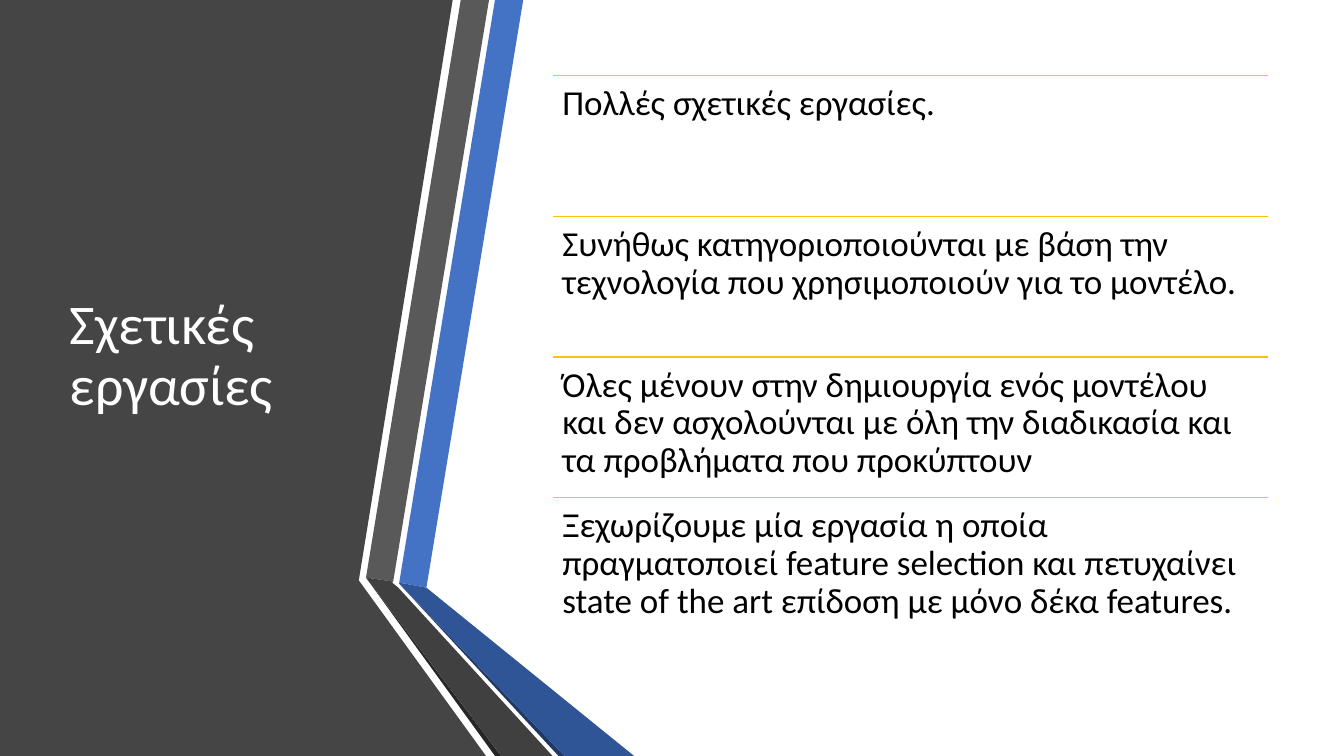
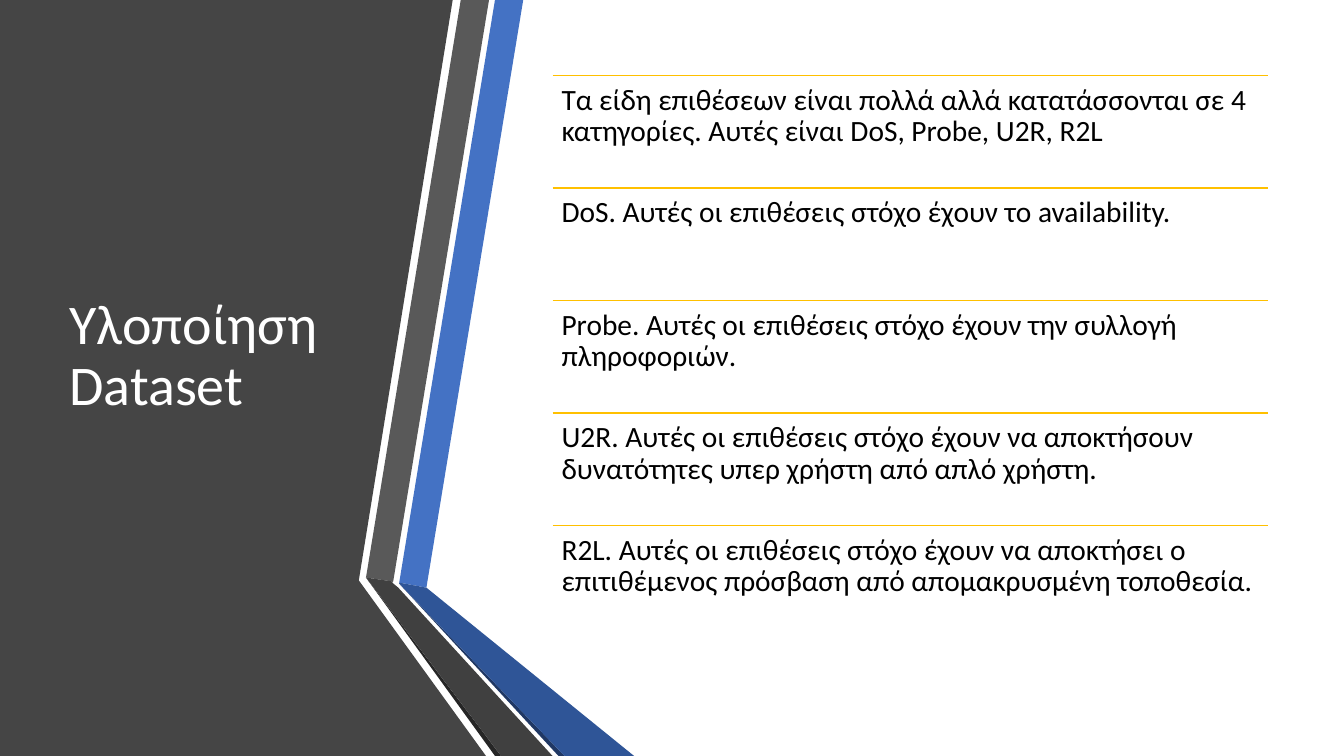
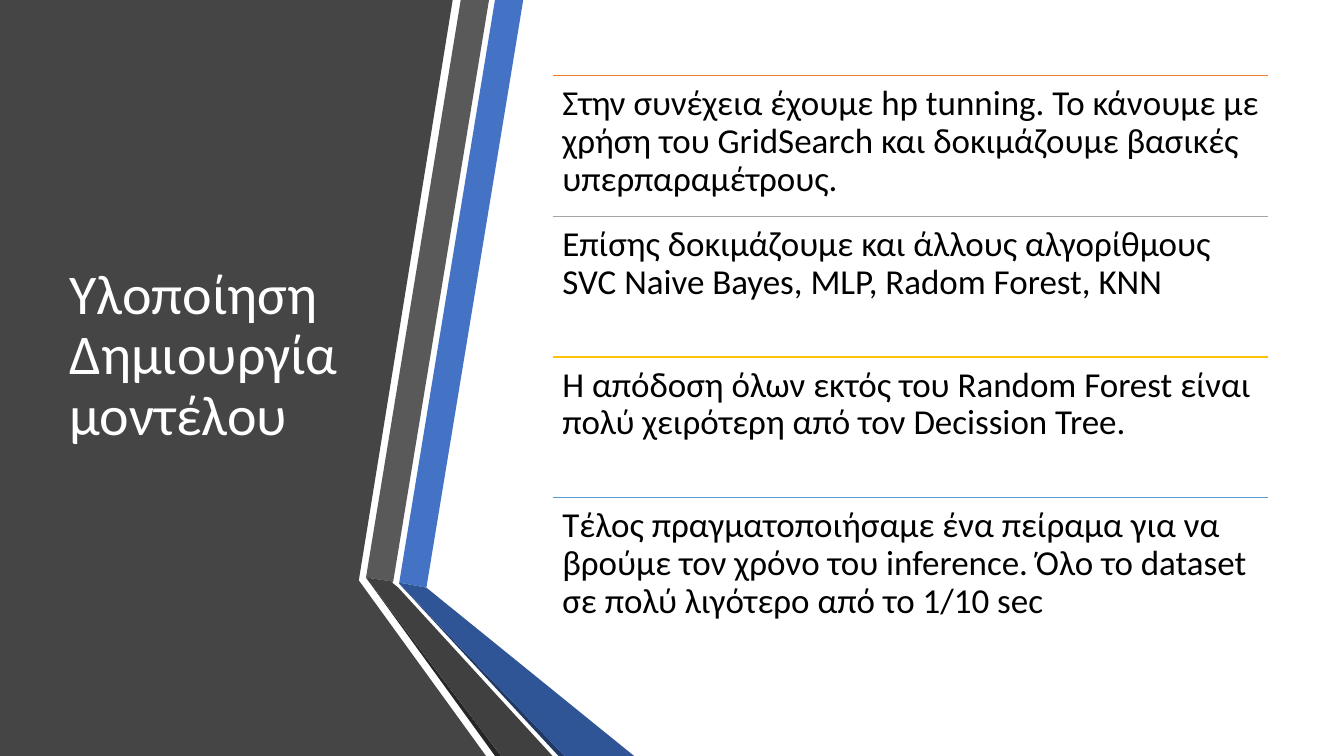
"""Three slides with a folded-ribbon title panel and a ruled list."""
from dataclasses import dataclass

from lxml import etree
from pptx import Presentation
from pptx.dml.color import RGBColor
from pptx.enum.shapes import MSO_CONNECTOR
from pptx.enum.text import MSO_ANCHOR, MSO_AUTO_SIZE, PP_ALIGN
from pptx.oxml.ns import qn
from pptx.util import Inches, Pt

STRAIGHT = MSO_CONNECTOR.STRAIGHT
MIDDLE, TOP = MSO_ANCHOR.MIDDLE, MSO_ANCHOR.TOP
LEFT = PP_ALIGN.LEFT
NO_AUTOFIT = MSO_AUTO_SIZE.NONE
TITLE_ONLY = 5


@dataclass(frozen=True)
class Theme:
    """Colours, type and measures shared by the slides."""
    font: str = "Calibri"
    title_size: float = 40
    large_size: float = 25
    small_size: float = 21
    line_spacing: float = 0.9
    rule_width: float = 1
    title_color: str = "FFFFFF"
    text_color: str = "000000"
    panel: str = "454545"
    blue: str = "4472C4"
    blue_fold: str = "2F5597"
    blue_edge: str = "203864"
    gray: str = "595959"
    gray_fold: str = "404040"
    gray_edge: str = "262626"
    orange: str = "ED7D31"
    silver: str = "A5A5A5"
    gold: str = "FFC000"
    sky: str = "5B9BD5"
    title_left: float = 0.59
    title_width: float = 3.04
    list_left: float = 5.48
    list_width: float = 7.1
    content_top: float = 0.75
    content_height: float = 5.58


THEME = Theme()

RIBBONS = [
    (THEME.panel, [(0, 0), (4.49, 0), (3.56, 5.75), (3.56, 5.76), (4.82, 7.5), (0, 7.5)]),
    (THEME.blue, [(3.96, 5.78), (4.23, 5.83), (5.19, 0), (4.91, 0)]),
    (THEME.gray, [(4.85, 0), (4.57, 0), (3.63, 5.73), (3.9, 5.77)]),
    (THEME.gray_edge, [(3.63, 5.73), (4.91, 7.5), (4.97, 7.5)]),
    (THEME.blue_edge, [(3.96, 5.79), (5.54, 7.5), (5.6, 7.5)]),
    (THEME.blue_fold, [(3.96, 5.79), (5.6, 7.5), (6.29, 7.5), (4.23, 5.83), (3.96, 5.78)]),
    (THEME.gray_fold, [(5.48, 7.5), (3.95, 5.83), (3.89, 5.78), (3.9, 5.77),
                       (3.63, 5.73), (4.97, 7.5)]),
]

SLIDES = [
    ("Σχετικές εργασίες", THEME.large_size, 0.1, [
        (THEME.gold, "Πολλές σχετικές εργασίες."),
        (THEME.gold, "Συνήθως κατηγοριοποιούνται με βάση την τεχνολογία που "
                     "χρησιμοποιούν για το μοντέλο."),
        (THEME.gold, "Όλες μένουν στην δημιουργία ενός μοντέλου και δεν ασχολούνται "
                     "με όλη την διαδικασία και τα προβλήματα που προκύπτουν"),
        (THEME.gold, "Ξεχωρίζουμε μία εργασία η οποία πραγματοποιεί feature selection "
                     "και πετυχαίνει state of the art επίδοση με μόνο δέκα features."),
    ]),
    ("Υλοποίηση Dataset", THEME.small_size, 0.09, [
        (THEME.gold, "Τα είδη επιθέσεων είναι πολλά αλλά κατατάσσονται σε 4 "
                     "κατηγορίες. Αυτές είναι DoS, Probe, U2R, R2L"),
        (THEME.gold, "DoS. Αυτές οι επιθέσεις στόχο έχουν το availability."),
        (THEME.gold, "Probe. Αυτές οι επιθέσεις στόχο έχουν την συλλογή πληροφοριών."),
        (THEME.gold, "U2R. Αυτές οι επιθέσεις στόχο έχουν να αποκτήσουν δυνατότητες "
                     "υπερ χρήστη από απλό χρήστη."),
        (THEME.gold, "R2L. Αυτές οι επιθέσεις στόχο έχουν να αποκτήσει ο επιτιθέμενος "
                     "πρόσβαση από απομακρυσμένη τοποθεσία."),
    ]),
    ("Υλοποίηση Δημιουργία μοντέλου", THEME.large_size, 0.1, [
        (THEME.orange, "Στην συνέχεια έχουμε hp tunning. Το κάνουμε με χρήση του "
                       "GridSearch και δοκιμάζουμε βασικές υπερπαραμέτρους."),
        (THEME.silver, "Επίσης δοκιμάζουμε και άλλους αλγορίθμους SVC Naive Bayes, "
                       "MLP, Radom Forest, KNN"),
        (THEME.gold, "Η απόδοση όλων εκτός του Random Forest είναι πολύ χειρότερη "
                     "από τον Decission Tree."),
        (THEME.sky, "Τέλος πραγματοποιήσαμε ένα πείραμα για να βρούμε τον χρόνο του "
                    "inference. Όλο το dataset σε πολύ λιγότερο από το 1/10 sec"),
    ]),
]


def write_text(frame, text, size, color, anchor, inset):
    """Fill a text frame with one formatted run."""
    frame.word_wrap = True
    frame.auto_size = NO_AUTOFIT
    frame.vertical_anchor = anchor
    frame.margin_left = frame.margin_right = Inches(inset)
    frame.margin_top = frame.margin_bottom = Inches(inset)
    paragraph = frame.paragraphs[0]
    paragraph.alignment = LEFT
    paragraph.line_spacing = THEME.line_spacing
    run = paragraph.add_run()
    run.text = text
    run.font.name = THEME.font
    run.font.size = Pt(size)
    run.font.color.rgb = RGBColor.from_string(color)


def add_ribbon(slide, color, points):
    """Draw one filled outline of the title panel."""
    corners = [(Inches(x), Inches(y)) for x, y in points]
    builder = slide.shapes.build_freeform(*corners[0])
    builder.add_line_segments(corners[1:], close=True)
    ribbon = builder.convert_to_shape()
    ribbon.shadow.inherit = False
    ribbon.fill.solid()
    ribbon.fill.fore_color.rgb = RGBColor.from_string(color)
    ribbon.line.fill.background()


def place_title(slide, text):
    """Format the title placeholder and bring it in front of the panel."""
    title = slide.shapes.title
    title.left, title.top = Inches(THEME.title_left), Inches(THEME.content_top)
    title.width, title.height = Inches(THEME.title_width), Inches(THEME.content_height)
    write_text(title.text_frame, text, THEME.title_size, THEME.title_color, MIDDLE, 0.1)
    slide.shapes._spTree.append(title._element)


def add_rule(slide, top, color):
    """Draw the thin line above a list entry."""
    left, right = Inches(THEME.list_left), Inches(THEME.list_left + THEME.list_width)
    rule = slide.shapes.add_connector(STRAIGHT, left, Inches(top), right, Inches(top))
    rule.line.color.rgb = RGBColor.from_string(color)
    rule.line.width = Pt(THEME.rule_width)
    etree.SubElement(rule._element.spPr, qn("a:effectLst"))


def add_ruled_list(slide, entries, size, inset):
    """Stack the entries in equal rows, each under its own rule."""
    row_height = THEME.content_height / len(entries)
    for index, (color, text) in enumerate(entries):
        top = THEME.content_top + index * row_height
        add_rule(slide, top, color)
        entry = slide.shapes.add_textbox(Inches(THEME.list_left), Inches(top),
                                         Inches(THEME.list_width), Inches(row_height))
        write_text(entry.text_frame, text, size, THEME.text_color, TOP, inset)


def main():
    """Build and save the presentation."""
    deck = Presentation()
    deck.slide_width, deck.slide_height = Inches(13.33), Inches(7.5)
    for title, size, inset, entries in SLIDES:
        slide = deck.slides.add_slide(deck.slide_layouts[TITLE_ONLY])
        for color, points in RIBBONS:
            add_ribbon(slide, color, points)
        place_title(slide, title)
        add_ruled_list(slide, entries, size, inset)
    deck.save("out.pptx")


if __name__ == "__main__":
    main()
